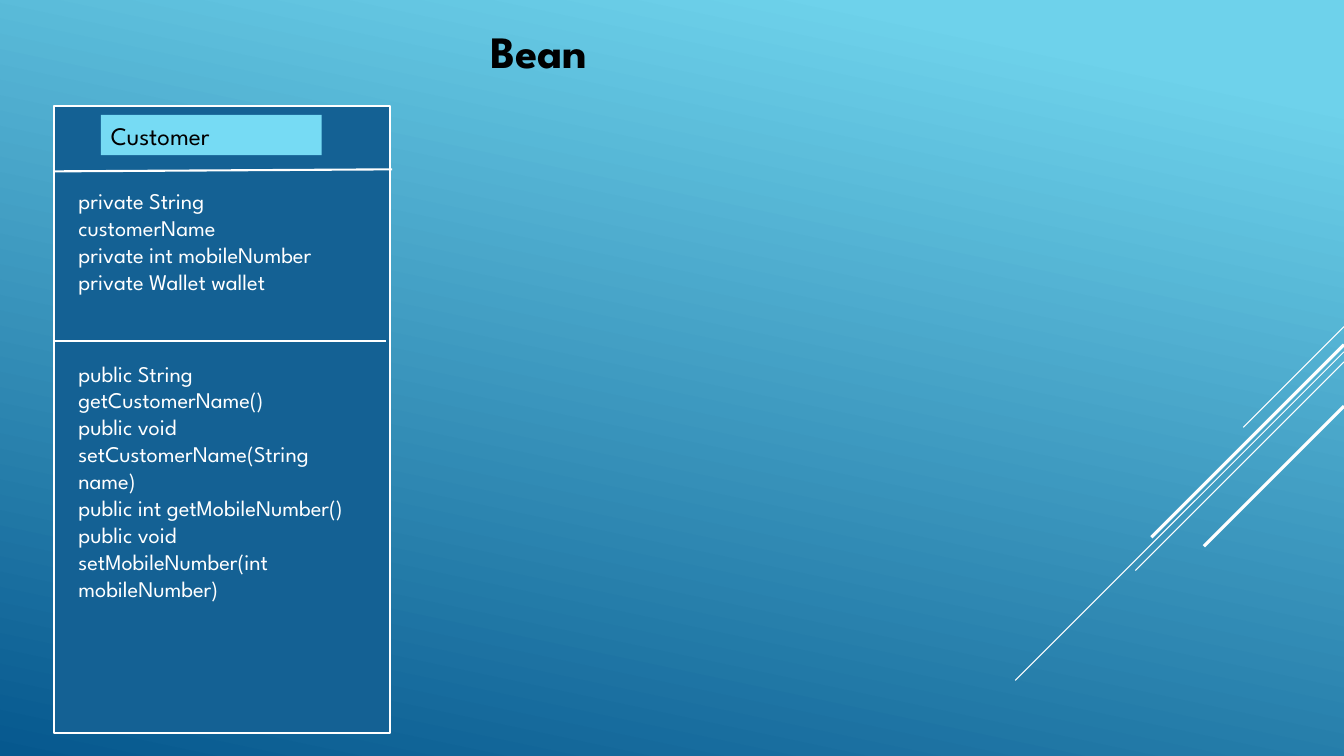
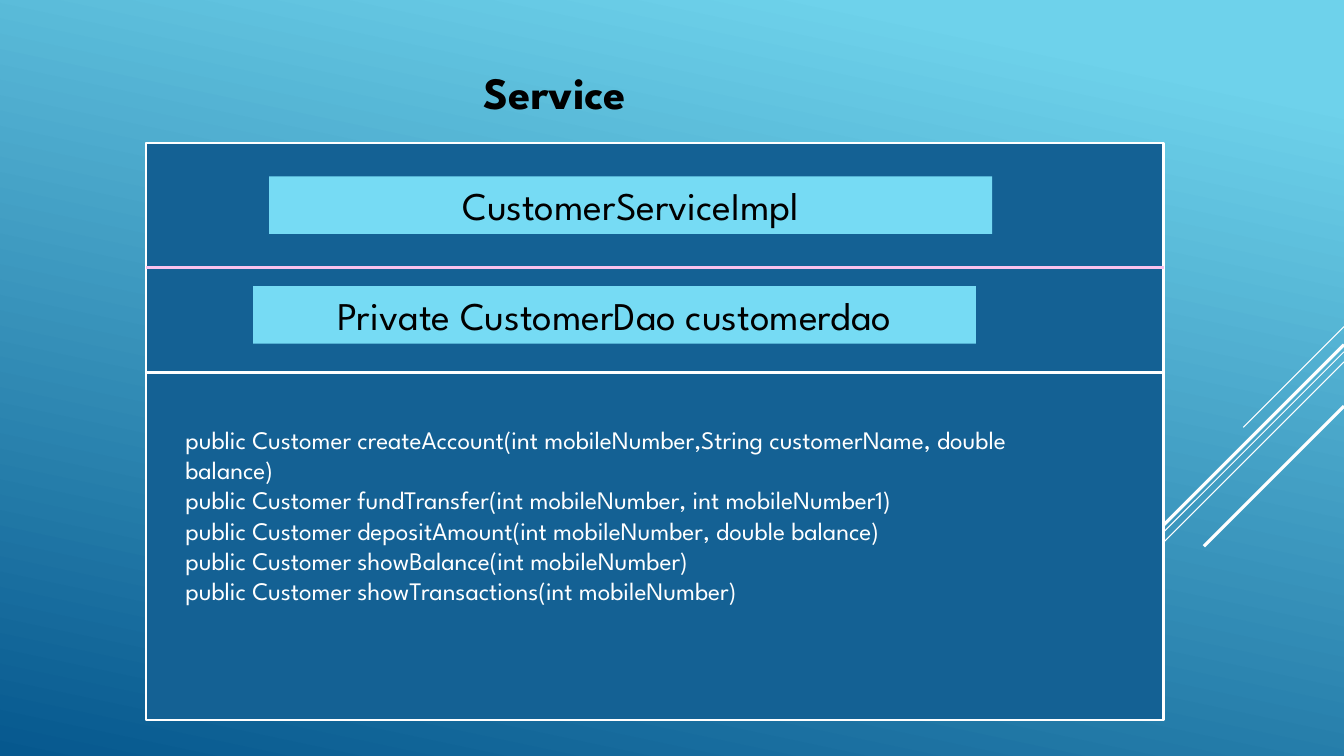
from dataclasses import dataclass

from lxml import etree
from pptx import Presentation
from pptx.dml.color import RGBColor
from pptx.enum.shapes import MSO_CONNECTOR, MSO_SHAPE
from pptx.enum.text import MSO_ANCHOR, MSO_AUTO_SIZE, PP_ALIGN
from pptx.oxml.ns import qn
from pptx.util import Inches, Pt

LINE = MSO_CONNECTOR.STRAIGHT
RECT = MSO_SHAPE.RECTANGLE
TOP = MSO_ANCHOR.TOP
GROW = MSO_AUTO_SIZE.SHAPE_TO_FIT_TEXT
LEFT, CENTER = PP_ALIGN.LEFT, PP_ALIGN.CENTER


@dataclass(frozen=True)
class Theme:
    font: str = "League Spartan"
    sky: str = "6ED2EB"
    deep: str = "06588E"
    panel: str = "146194"
    label: str = "76DBF4"
    white: str = "FFFFFF"
    black: str = "000000"
    pink: str = "FAC2ED"
    title_size: int = 32
    heading_size: int = 28
    body_size: int = 18
    small_size: int = 16
    hairline: float = 0.75
    rule: float = 1.5
    thick: float = 2.25


T = Theme()
WIDTH, HEIGHT = 13.33, 7.5
STREAKS = (
    (3.24, 1.0, T.hairline),
    (3.49, 3.26, T.hairline),
    (3.59, 2.07, T.hairline),
    (3.42, 1.91, T.thick),
    (4.03, 1.39, T.thick),
)


def rgb(value):
    return RGBColor.from_string(value)


def write(sp, text, *, size=T.body_size, color=T.white, bold=False, align=LEFT):
    tf = sp.text_frame
    tf.word_wrap = True
    tf.auto_size = GROW
    tf.vertical_anchor = TOP
    for i, line in enumerate(text.split("\n")):
        p = tf.add_paragraph() if i else tf.paragraphs[0]
        p.alignment = align
        r = p.add_run()
        r.text = line
        r.font.name = T.font
        r.font.size = Pt(size)
        r.font.bold = bold
        r.font.color.rgb = rgb(color)


def add_text(s, box, text, **style):
    write(s.shapes.add_textbox(*map(Inches, box)), text, **style)


def add_rect(s, box, fill, line=None):
    sp = s.shapes.add_shape(RECT, *map(Inches, box))
    sp.shadow.inherit = False
    sp.fill.solid()
    sp.fill.fore_color.rgb = rgb(fill)
    if line:
        sp.line.color.rgb = rgb(line)
        sp.line.width = Pt(T.rule)
    else:
        sp.line.fill.background()
    return sp


def add_line(s, x1, y1, x2, y2, color=T.white, weight=T.rule):
    c = s.shapes.add_connector(LINE, *map(Inches, (x1, y1, x2, y2)))
    c.line.color.rgb = rgb(color)
    c.line.width = Pt(weight)
    etree.SubElement(c._element.spPr, qn("a:effectLst"))


def add_label(s, box, text, **style):
    write(add_rect(s, box, T.label), text, color=T.black, **style)


def set_background(master):
    fill = master.background.fill
    fill.gradient()
    fill.gradient_angle = 258
    for stop, (position, color) in zip(
        fill.gradient_stops, ((0.1, T.sky), (1.0, T.deep))
    ):
        stop.position = position
        stop.color.rgb = rgb(color)


def add_base(prs):
    s = prs.slides.add_slide(prs.slide_layouts[6])
    for top, run, weight in STREAKS:
        add_line(s, WIDTH, top, WIDTH - run, top + run, weight=weight)
    return s


def add_title(s, x, y, text):
    add_text(s, (x, y, 8.35, 0.64), text, size=T.title_size,
             color=T.black, bold=True, align=CENTER)


def add_bean_class(s, box, name, fields, methods):
    x, y, w, h = box
    add_rect(s, box, T.panel, T.white)
    add_line(s, x, y + 0.65, x + w + 0.02, y + 0.63)
    add_line(s, x, y + 2.33, x + w - 0.04, y + 2.33)
    add_label(s, (x + 0.46, y + 0.09, 2.19, 0.4), name)
    add_text(s, (x + 0.14, y + 0.76, 2.78, 1.45), fields, size=T.small_size)
    add_text(s, (x + 0.14, y + 2.47, 2.87, 3.06), methods, size=T.small_size)


def add_service_class(s, box, name, field, methods):
    x, y, w, h = box
    add_rect(s, box, T.panel, T.white)
    for dy, color in ((1.23, T.pink), (2.28, T.white)):
        add_line(s, x, y + dy, x + w, y + dy, color, T.thick)
    for dx, dy, text in ((1.22, 0.33, name), (1.06, 1.42, field)):
        add_label(s, (x + dx, y + dy, 7.17, 0.57), text,
                  size=T.heading_size, align=CENTER)
    add_text(s, (x + 0.29, y + 2.74, 8.65, 2.52), methods)


prs = Presentation()
prs.slide_width, prs.slide_height = Inches(WIDTH), Inches(HEIGHT)
set_background(prs.slide_master)

bean = add_base(prs)
add_bean_class(
    bean, (0.54, 1.05, 3.33, 6.22), "Customer",
    "private String customerName\n"
    "private int mobileNumber\n"
    "private Wallet wallet",
    "public String getCustomerName()\n"
    "public void setCustomerName(String name)\n"
    "public int getMobileNumber()\n"
    "public void setMobileNumber(int mobileNumber)",
)
add_title(bean, 1.17, 0.19, "Bean")

service = add_base(prs)
add_service_class(
    service, (1.45, 1.42, 10.09, 5.72),
    "CustomerServiceImpl", "Private CustomerDao customerdao",
    "public Customer createAccount(int mobileNumber,String customerName, "
    "double balance)\n"
    "public Customer fundTransfer(int mobileNumber, int mobileNumber1)\n"
    "public Customer depositAmount(int mobileNumber, double balance)\n"
    "public Customer showBalance(int mobileNumber)\n"
    "public Customer showTransactions(int mobileNumber)",
)
add_title(service, 1.33, 0.59, "Service")

prs.save("out.pptx")
